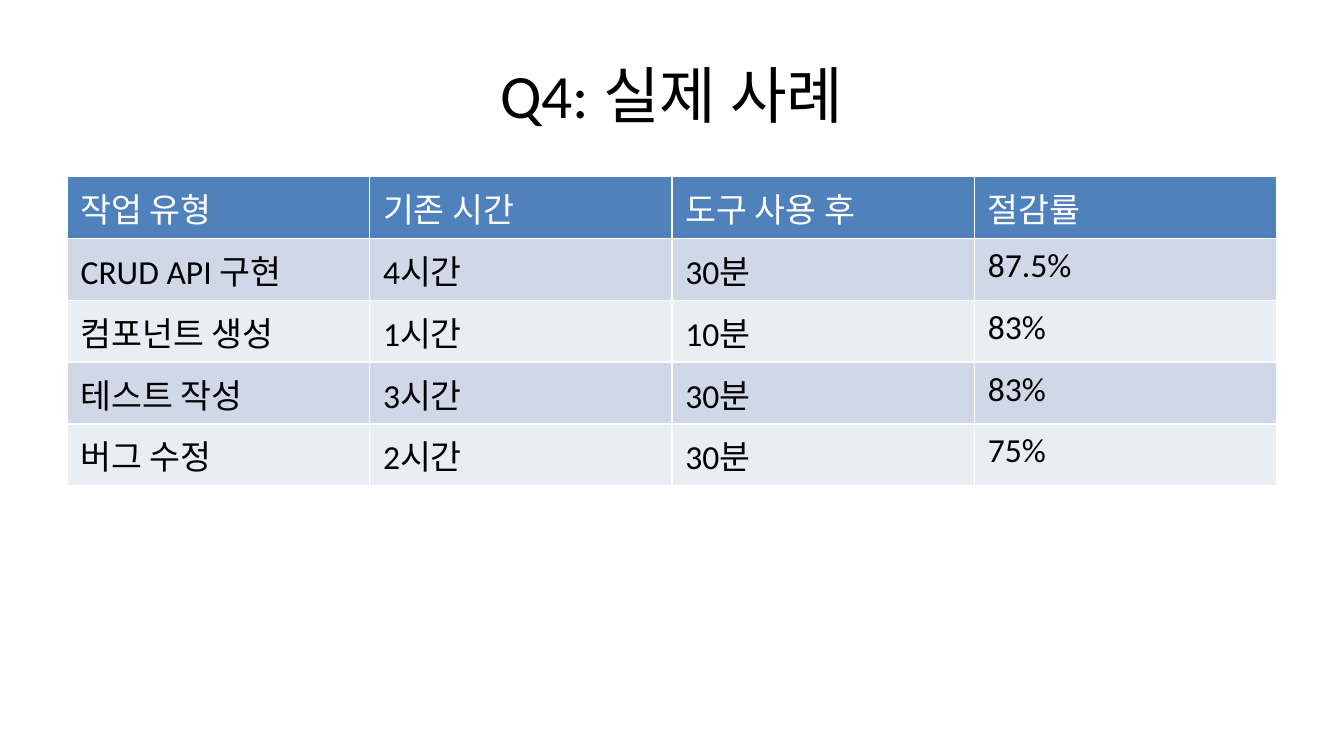
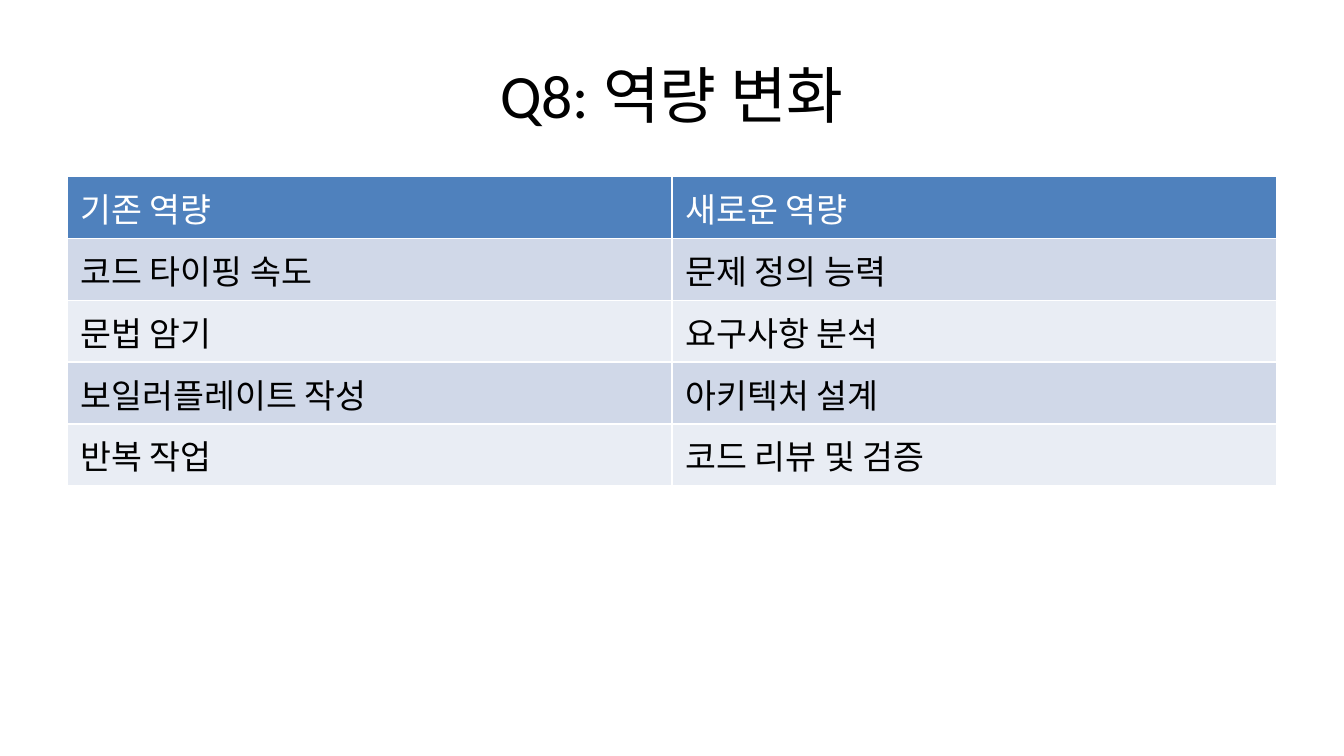
from pptx import Presentation
from pptx.dml.color import RGBColor
from pptx.enum.text import MSO_ANCHOR, PP_ALIGN
from pptx.util import Pt

MIDDLE = MSO_ANCHOR.MIDDLE
CENTER = PP_ALIGN.CENTER

BLACK = RGBColor(0x00, 0x00, 0x00)
WHITE = RGBColor(0xFF, 0xFF, 0xFF)
BLUE = RGBColor(0x4F, 0x81, 0xBD)
BANDS = (RGBColor(0xE9, 0xED, 0xF4), RGBColor(0xD0, 0xD8, 0xE8))

FONT = "Calibri"
LEFT, WIDTH = 36, 648
ROW = 33.2

CASES = (
    ("작업 유형", "기존 시간", "도구 사용 후", "절감률"),
    ("CRUD API 구현", "4시간", "30분", "87.5%"),
    ("컴포넌트 생성", "1시간", "10분", "83%"),
    ("테스트 작성", "3시간", "30분", "83%"),
    ("버그 수정", "2시간", "30분", "75%"),
)
SKILLS = (
    ("기존 역량", "새로운 역량"),
    ("코드 타이핑 속도", "문제 정의 능력"),
    ("문법 암기", "요구사항 분석"),
    ("보일러플레이트 작성", "아키텍처 설계"),
    ("반복 작업", "코드 리뷰 및 검증"),
)


def set_text(frame, text, size, color):
    """Write one paragraph in the shared font."""
    frame.text = text
    font = frame.paragraphs[0].runs[0].font
    font.name = FONT
    font.size = Pt(size)
    font.bold = False
    font.color.rgb = color


def add_title(slide, text):
    """Add the centred slide title."""
    box = slide.shapes.add_textbox(Pt(LEFT), Pt(16.5), Pt(WIDTH), Pt(67.5))
    frame = box.text_frame
    frame.word_wrap = True
    frame.vertical_anchor = MIDDLE
    set_text(frame, text, 33, BLACK)
    frame.paragraphs[0].alignment = CENTER


def add_grid(slide, rows):
    """Add a table with a blue header and banded rows."""
    shape = slide.shapes.add_table(
        len(rows), len(rows[0]), Pt(LEFT), Pt(94.5), Pt(WIDTH), Pt(ROW * len(rows))
    )
    table = shape.table
    for r, row in enumerate(rows):
        table.rows[r].height = Pt(ROW)
        for c, text in enumerate(row):
            cell = table.cell(r, c)
            cell.fill.solid()
            cell.fill.fore_color.rgb = BANDS[r % 2] if r else BLUE
            set_text(cell.text_frame, text, 18, BLACK if r else WHITE)


def main():
    """Build both slides and save them."""
    deck = Presentation()
    deck.slide_width = Pt(720)
    deck.slide_height = Pt(405)
    for title, rows in (("Q4: 실제 사례", CASES), ("Q8: 역량 변화", SKILLS)):
        slide = deck.slides.add_slide(deck.slide_layouts[6])
        add_title(slide, title)
        add_grid(slide, rows)
    deck.save("out.pptx")


if __name__ == "__main__":
    main()
